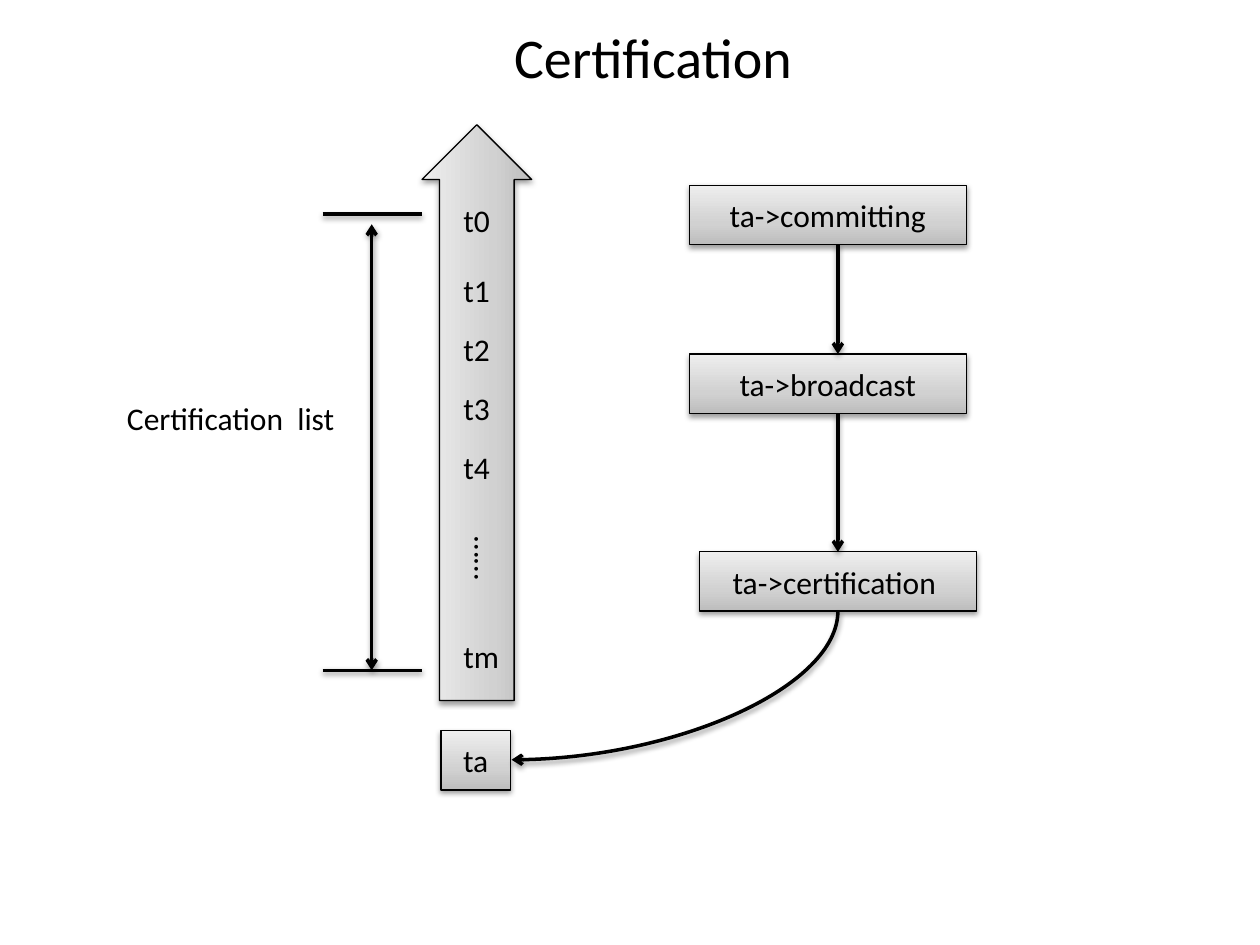
from copy import deepcopy

from lxml import etree
from pptx import Presentation
from pptx.dml.color import RGBColor
from pptx.enum.shapes import MSO_CONNECTOR, MSO_SHAPE
from pptx.enum.text import MSO_ANCHOR, MSO_AUTO_SIZE, PP_ALIGN
from pptx.oxml import parse_xml
from pptx.oxml.ns import nsdecls, qn
from pptx.util import Inches, Pt

RECT, RIGHT_ARROW = MSO_SHAPE.RECTANGLE, MSO_SHAPE.RIGHT_ARROW
STRAIGHT, CURVE = MSO_CONNECTOR.STRAIGHT, MSO_CONNECTOR.CURVE
LEFT, CENTER = PP_ALIGN.LEFT, PP_ALIGN.CENTER
MIDDLE, TOP = MSO_ANCHOR.MIDDLE, MSO_ANCHOR.TOP
FIT = MSO_AUTO_SIZE.SHAPE_TO_FIT_TEXT

BLACK = RGBColor(0x00, 0x00, 0x00)
GRADIENT = [
    (0, RGBColor(0xBD, 0xBD, 0xBD)),
    (0.35, RGBColor(0xD1, 0xD1, 0xD1)),
    (1, RGBColor(0xEE, 0xEE, 0xEE)),
]
SHADOW = (
    f'<a:effectLst {nsdecls("a")}>'
    '<a:outerShdw blurRad="40000" dist="20000" dir="5400000" rotWithShape="0">'
    '<a:srgbClr val="000000"><a:alpha val="38000"/></a:srgbClr>'
    '</a:outerShdw></a:effectLst>'
)


class Diagram:
    """Holds the style and the current slide."""

    font = "Calibri"
    size = 18

    def __init__(self, slide):
        """Keep the slide that is drawn on."""
        self.slide = slide
        self.shapes = slide.shapes

    def set_text(self, sp, text, align=LEFT, size=size):
        """Put formatted text into a shape."""
        tf = sp.text_frame
        tf.text = text
        p = tf.paragraphs[0]
        p.alignment = align
        font = p.runs[0].font
        font.name, font.size = self.font, Pt(size)
        font.color.rgb = BLACK

    def fit(self, sp):
        """Let a shape hug its unwrapped text."""
        tf = sp.text_frame
        tf.word_wrap = False
        tf.auto_size = FIT
        tf.vertical_anchor = TOP

    def title(self, text, x, y, w, h):
        """Place and format the slide title."""
        sp = self.shapes.title
        sp.left, sp.top, sp.width, sp.height = map(Inches, (x, y, w, h))
        self.set_text(sp, text, size=32)
        self.fit(sp)

    def label(self, text, x, y, w, h=0.4, align=LEFT, rotation=0):
        """Add a plain text box."""
        sp = self.shapes.add_textbox(*map(Inches, (x, y, w, h)))
        sp.rotation = rotation
        self.set_text(sp, text, align)
        self.fit(sp)

    def box(self, x, y, w, h, text="", kind=RECT):
        """Add a grey gradient shape with a shadow."""
        sp = self.shapes.add_shape(kind, *map(Inches, (x, y, w, h)))
        sp.fill.gradient()
        sp.fill.gradient_angle = 90
        stops = sp._element.spPr.find(qn("a:gradFill")).find(qn("a:gsLst"))
        stops.append(deepcopy(stops[0]))
        for stop, (position, color) in zip(sp.fill.gradient_stops, GRADIENT):
            stop.position = position
            stop.color.rgb = color
        sp.line.color.rgb = BLACK
        sp.line.width = Pt(0.75)
        sp._element.spPr.append(parse_xml(SHADOW))
        if text:
            self.set_text(sp, text, CENTER)
            sp.text_frame.vertical_anchor = MIDDLE
        return sp

    def line(self, x1, y1, x2, y2, ends=(), kind=STRAIGHT):
        """Add a connector; ends lists headEnd and tailEnd as wanted."""
        sp = self.shapes.add_connector(kind, *map(Inches, (x1, y1, x2, y2)))
        sp.line.color.rgb = BLACK
        sp.line.width = Pt(2)
        ln = sp._element.spPr.find(qn("a:ln"))
        for end in ends:
            etree.SubElement(ln, qn(f"a:{end}"), type="arrow")
        sp._element.spPr.append(parse_xml(SHADOW))
        return sp

    def quarter_curve(self, x1, y1, x2, y2):
        """Add an arrow that leaves downwards and arrives leftwards."""
        cx, cy = (x1 + x2) / 2, (y1 + y2) / 2
        dx, dy = (y2 - y1) / 2, (x1 - x2) / 2
        sp = self.line(cx - dx, cy - dy, cx + dx, cy + dy, ["tailEnd"], CURVE)
        spPr = sp._element.spPr
        spPr.find(qn("a:xfrm")).set("rot", "5400000")
        spPr.find(qn("a:prstGeom")).set("prst", "curvedConnector2")


prs = Presentation()
prs.slide_width, prs.slide_height = Inches(10), Inches(7.5)
d = Diagram(prs.slides.add_slide(prs.slide_layouts[5]))
d.title("Certification ", 3.98, 0.13, 2.49, 0.64)

# Time line of transactions
timeline = d.box(1.5, 2.84, 4.57, 0.87, kind=RIGHT_ARROW)
timeline.rotation = 270
timeline.adjustments[0] = 0.68
timeline.adjustments[1] = 0.5
for i, y in enumerate([1.55, 2.1, 2.57, 3.04, 3.51]):
    d.label(f"t{i}", 3.58, y, 0.41)
d.label("……", 3.58, 4.23, 0.57, align=CENTER, rotation=90)
d.label("tm", 3.58, 5.01, 0.49)

# Steps of the committing transaction
BOX_H, FLOW_X = 0.47, 6.65
steps = [
    ("ta->committing", 5.47, 1.47),
    ("ta->broadcast", 5.47, 2.81),
    ("ta->certification ", 5.55, 4.38),
]
for text, x, y in steps:
    d.box(x, y, 2.2, BOX_H, text)
for (_, _, y), (_, _, next_y) in zip(steps, steps[1:]):
    d.line(FLOW_X, y + BOX_H, FLOW_X, next_y, ["tailEnd"])
d.box(3.5, 5.8, 0.55, BOX_H, "ta")
d.quarter_curve(FLOW_X, 4.85, 4.06, 6.03)

# Extent of the certification list
for y in (1.7, 5.32):
    d.line(2.56, y, 3.35, y)
d.line(2.95, 1.78, 2.95, 5.32, ["headEnd", "tailEnd"])
d.label("Certification  list", 0.91, 3.12, 1.87)

prs.save("out.pptx")
